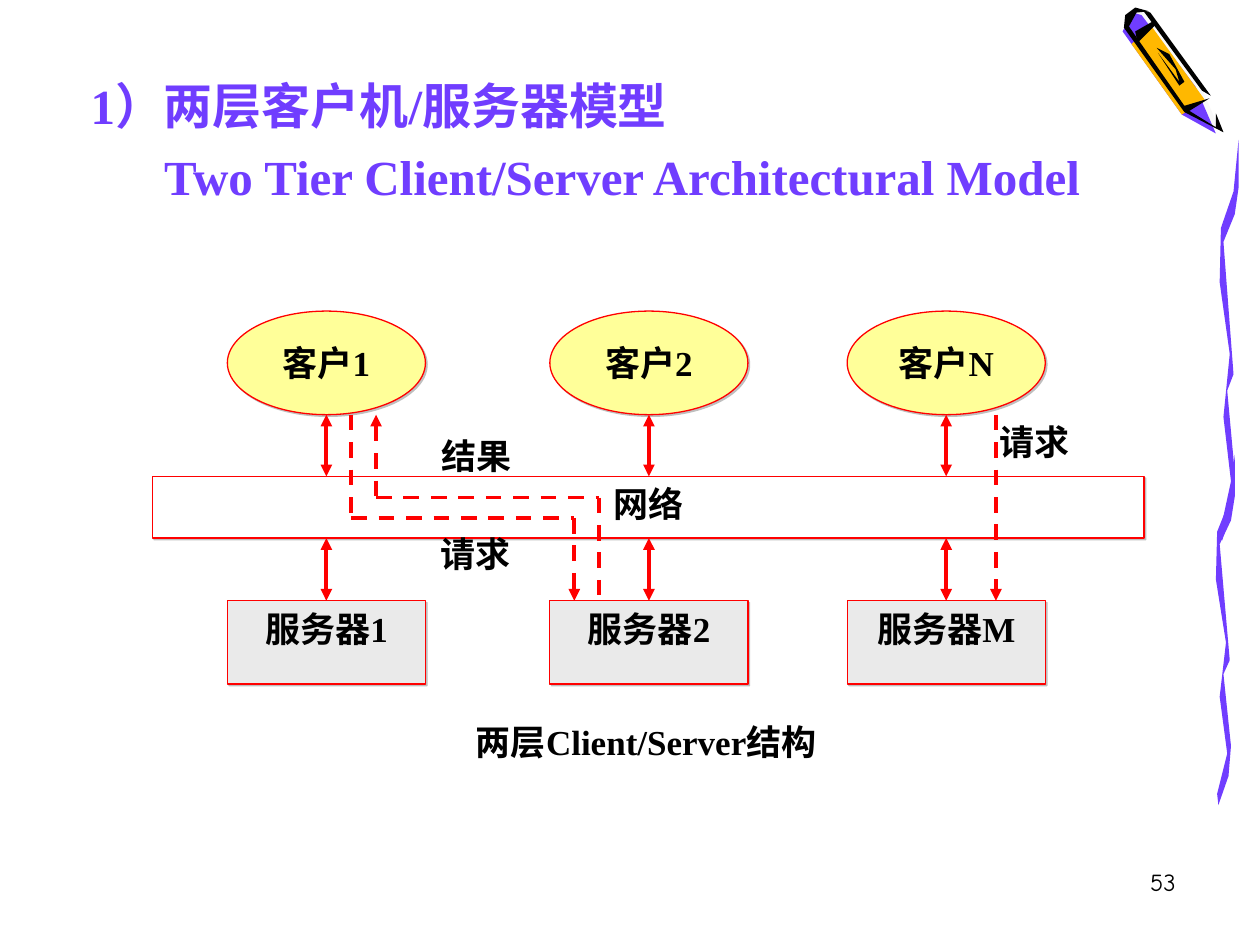
"""Build the two-tier client/server architecture slide."""
from dataclasses import dataclass

from lxml import etree
from pptx import Presentation
from pptx.dml.color import RGBColor
from pptx.enum.dml import MSO_LINE
from pptx.enum.shapes import MSO_CONNECTOR, MSO_SHAPE
from pptx.enum.text import MSO_ANCHOR, MSO_AUTO_SIZE, PP_ALIGN
from pptx.oxml.ns import qn
from pptx.util import Pt

OVAL, RECT = MSO_SHAPE.OVAL, MSO_SHAPE.RECTANGLE
STRAIGHT, DASH = MSO_CONNECTOR.STRAIGHT, MSO_LINE.DASH
TOP, MIDDLE = MSO_ANCHOR.TOP, MSO_ANCHOR.MIDDLE
LEFT, CENTER, RIGHT = PP_ALIGN.LEFT, PP_ALIGN.CENTER, PP_ALIGN.RIGHT


@dataclass(frozen=True)
class Theme:
    violet: str = "703DFF"
    red: str = "FF0000"
    yellow: str = "FFFF99"
    gray: str = "EAEAEA"
    white: str = "FFFFFF"
    black: str = "000000"
    shade: str = "808080"
    amber: str = "FFB800"
    paper: str = "F8F8F8"
    face: str = "Times New Roman"
    number_face: str = "Comic Neue"
    title_size: int = 28
    label_size: int = 20
    number_size: int = 14


theme = Theme()
prs = Presentation()
prs.slide_width, prs.slide_height = Pt(720), Pt(540)
slide = prs.slides.add_slide(prs.slide_layouts[5])
shapes = slide.shapes


def write(paragraph, text, align=CENTER, size=theme.label_size,
          color=theme.black, face=theme.face, bold=True):
    paragraph.alignment = align
    run = paragraph.add_run()
    run.text = text
    run.font.size, run.font.name, run.font.bold = Pt(size), face, bold
    run.font.color.rgb = RGBColor.from_string(color)


def draw_line(x1, y1, x2, y2, ends=(), dashed=False):
    link = shapes.add_connector(STRAIGHT, Pt(x1), Pt(y1), Pt(x2), Pt(y2))
    link.line.color.rgb = RGBColor.from_string(theme.red)
    link.line.width = Pt(2.25)
    if dashed:
        link.line.dash_style = DASH
    outline = link.line._get_or_add_ln()
    for end in ends:
        etree.SubElement(outline, qn(f"a:{end}"), type="triangle")
    etree.SubElement(link._element.spPr, qn("a:effectLst"))


art_unit = Pt(0.72)
ribbon = [(966, 630), (974, 598), (968, 553), (973, 510), (965, 460), (966, 422),
          (976, 397), (980, 361), (980, 394), (977, 413), (968, 432), (976, 524),
          (971, 535), (977, 592), (975, 616), (967, 639)]
upper_ribbon = [(x + 3, 111 + (y - 361) * 1.144) for x, y in ribbon]
barrel = [(968, 103), (952, 66), (909, 9), (902, 7), (894, 22), (941, 88)]
barrel_side = [(x - 3, y + 3) for x, y in barrel]
wrapper = [(898, 35), (938, 91), (956, 79), (914, 21)]
edge = [(912, 9), (901, 6), (893, 12), (892, 22), (940, 89), (971, 105),
        (965, 90), (965, 101), (944, 88), (960, 78), (940, 84), (896, 21), (902, 10)]
stripe = [(913, 10), (961, 76), (954, 72), (907, 8)]
band = [(915, 17), (901, 25), (903, 34), (917, 20)]
leaf = [(918, 38), (933, 55), (936, 65), (919, 42), (936, 68), (940, 65), (928, 43)]
for color, points in [
    (theme.violet, ribbon), (theme.violet, upper_ribbon),
    (theme.paper, barrel), (theme.violet, barrel_side), (theme.amber, wrapper),
    (theme.black, edge), (theme.black, stripe), (theme.black, band), (theme.black, leaf),
]:
    builder = shapes.build_freeform(*points[0], scale=art_unit)
    builder.add_line_segments(points[1:], close=True)
    stroke = builder.convert_to_shape()
    stroke.fill.solid()
    stroke.fill.fore_color.rgb = RGBColor.from_string(color)
    stroke.line.fill.background()
    stroke.shadow.inherit = False

heading = shapes.title
heading.left, heading.top, heading.width, heading.height = Pt(44.6), Pt(39.6), Pt(648.7), Pt(81.4)
heading_text = heading.text_frame
heading_text.vertical_anchor, heading_text.auto_size = TOP, MSO_AUTO_SIZE.NONE
write(heading_text.paragraphs[0], "1）两层客户机/服务器模型", LEFT, theme.title_size, theme.violet)
english = heading_text.add_paragraph()
english.space_before = Pt(7)
english._p.get_or_add_pPr().set("marL", str(Pt(42)))
write(english, "Two Tier Client/Server Architectural Model", LEFT, theme.title_size, theme.violet)

columns = [(186.5, "1", "1"), (370.8, "2", "2"), (540.7, "N", "M")]
node_width, client_top, client_height = 113.2, 177.8, 59.2
client_bottom = client_top + client_height
network_top, band_height = 272.2, 35.3
network_bottom = network_top + band_height
server_top, server_height = 343.3, 47.6

nodes = [(RECT, 87.1, network_top, 566.7, band_height, theme.white, "网络", TOP)]
for center, client, server in columns:
    left = center - node_width / 2
    nodes += [
        (OVAL, left, client_top, node_width, client_height, theme.yellow, f"客户{client}", MIDDLE),
        (RECT, left, server_top, node_width, server_height, theme.gray, f"服务器{server}", TOP),
    ]
for kind, left, top, width, height, color, text, anchor in nodes:
    node = shapes.add_shape(kind, Pt(left), Pt(top), Pt(width), Pt(height))
    node.fill.solid()
    node.fill.fore_color.rgb = RGBColor.from_string(color)
    node.line.color.rgb = RGBColor.from_string(theme.red)
    node.line.width = Pt(0.75)
    node.shadow.inherit = False
    effects = node._element.spPr.find(qn("a:effectLst"))
    shadow = etree.SubElement(effects, qn("a:outerShdw"), dist=str(Pt(1.4)), dir="2700000")
    tint = etree.SubElement(shadow, qn("a:srgbClr"), val=theme.shade)
    etree.SubElement(tint, qn("a:alpha"), val="50000")
    node.text_frame.word_wrap = True
    node.text_frame.vertical_anchor = anchor
    write(node.text_frame.paragraphs[0], text)

for center, _, _ in columns:
    for start, end in [(client_bottom, network_top), (network_bottom, server_top)]:
        draw_line(center, start, center, end, ["headEnd", "tailEnd"])

lane = 14.2
first, second, last = [center for center, _, _ in columns]
request_y, result_y = 296, 284.3
request_from, request_to = first + lane, second - 3 * lane
result_to, result_from = first + 2 * lane, second - 2 * lane
direct = last + 2 * lane
for route in [
    (request_from, client_bottom, request_from, request_y),
    (request_from, request_y, request_to, request_y),
    (request_to, request_y, request_to, server_top, ["tailEnd"]),
    (result_to, client_bottom, result_to, result_y, ["headEnd"]),
    (result_to, result_y, result_from, result_y),
    (result_from, result_y, result_from, server_top),
    (direct, client_bottom, direct, server_top, ["tailEnd"]),
]:
    draw_line(*route, dashed=True)

number_style = dict(align=RIGHT, size=theme.number_size, face=theme.number_face, bold=False)
for text, left, top, width, style in [
    ("两层Client/Server结构", 227.5, 408.2, 283.7, {}),
    ("请求", 229, 301, 85, {}),
    ("结果", 229.7, 244.8, 85, {}),
    ("请求", 548.6, client_bottom, 85, {}),
    ("53", 529.2, 491.8, 149.8, number_style),
]:
    label = shapes.add_textbox(Pt(left), Pt(top), Pt(width), Pt(band_height)).text_frame
    label.word_wrap = True
    write(label.paragraphs[0], text, **style)

prs.save("out.pptx")
